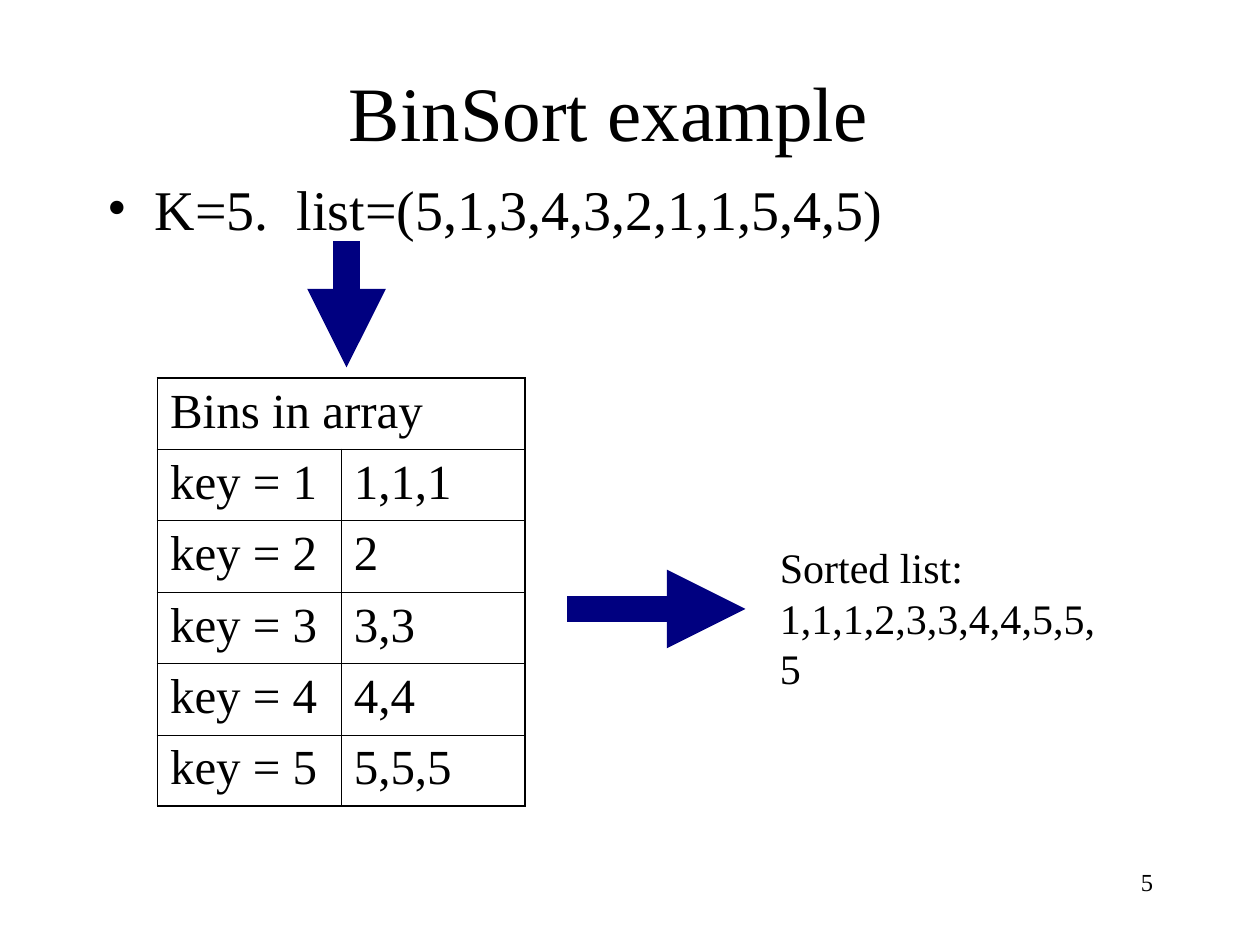
from lxml.etree import SubElement as Sub
from pptx import Presentation
from pptx.dml.color import RGBColor as Rgb
from pptx.enum.shapes import MSO_CONNECTOR as Conn
from pptx.enum.text import MSO_ANCHOR as Anchor, MSO_AUTO_SIZE as Fit, PP_ALIGN as Align
from pptx.oxml.ns import qn
from pptx.util import Inches, Pt

INK = {"text": "000000", "arrow": "000080"}
FONT = "Times New Roman"
UNIT = Inches(1) / 12  # the slide is 120 columns by 90 rows


def grid(*cells):
    return [round(n * UNIT) for n in cells]


def write(para, text, size, align=Align.LEFT, before=0):
    para.alignment = align
    para.space_before = Pt(before)
    run = para.add_run()
    run.text = text
    font = run.font
    font.name, font.size = FONT, Pt(size)
    font.color.rgb = Rgb.from_string(INK["text"])


deck = Presentation()
deck.slide_width, deck.slide_height = grid(120, 90)
slide = deck.slides.add_slide(deck.slide_layouts[1])
shapes = slide.shapes

# Title and list
title, body = slide.placeholders
for holder, spot in ((title, (7, 3, 102, 15)), (body, (9, 16, 102, 54))):
    holder.left, holder.top, holder.width, holder.height = grid(*spot)
    holder.text_frame.auto_size = Fit.NONE
title.text_frame.vertical_anchor = Anchor.MIDDLE
write(title.text_frame.paragraphs[0], "BinSort example", 44, Align.CENTER)

item = body.text_frame.paragraphs[0]
write(item, "K=5.  list=(5,1,3,4,3,2,1,1,5,4,5)", 32, before=8)
props = item._p.get_or_add_pPr()
indent = Inches(0.38)
props.set("marL", str(indent))
props.set("indent", str(-indent))
Sub(props, qn("a:buFont"), typeface=FONT)
Sub(props, qn("a:buChar"), char="•")

# Bins: one merged heading row, then a row per key
bins = ["1,1,1", "2", "3,3", "4,4", "5,5,5"]
rows = [["Bins in array", ""]]
rows += [[f"key = {key}", held] for key, held in enumerate(bins, 1)]
last = len(rows) - 1
table = shapes.add_table(len(rows), 2, *grid(15, 36, 35, 6.8 * len(rows))).table
table.first_row = table.horz_banding = False
table.cell(0, 0).merge(table.cell(0, 1))

for r, row in enumerate(rows):
    for c, text in enumerate(row):
        cell = table.cell(r, c)
        if text:
            write(cell.text_frame.paragraphs[0], text, 28, before=7)
        thick = {"L": c == 0, "R": c == 1 or r == 0, "T": r < 2, "B": r in (0, last)}
        for side, bold in thick.items():
            width = Pt(1.08 if bold else 0.45)
            edge = Sub(cell._tc.get_or_add_tcPr(), qn(f"a:ln{side}"), w=str(width))
            fill = Sub(edge, qn("a:solidFill"))
            Sub(fill, qn("a:srgbClr"), val=INK["text"])
        cell.fill.background()

# Result and page number
frame = shapes.add_textbox(*grid(73.1, 51, 34.3, 10.8)).text_frame
frame.word_wrap = False
frame.auto_size = Fit.SHAPE_TO_FIT_TEXT
write(frame.paragraphs[0], "Sorted list:", 24)
write(frame.add_paragraph(), "1,1,1,2,3,3,4,4,5,5,5", 24)

frame = shapes.add_textbox(*grid(86, 82, 25, 6)).text_frame
frame.word_wrap = True
write(frame.paragraphs[0], "5", 14, Align.RIGHT)

# Arrows: list to bins, bins to result
for ends in ((33, 23, 33, 35), (54, 58, 71, 58)):
    arrow = shapes.add_connector(Conn.STRAIGHT, *grid(*ends))
    arrow.line.width = Pt(15)
    arrow.line.color.rgb = Rgb.from_string(INK["arrow"])
    Sub(arrow.line._get_or_add_ln(), qn("a:tailEnd"), type="triangle")
    Sub(arrow._element.spPr, qn("a:effectLst"))

deck.save("out.pptx")
